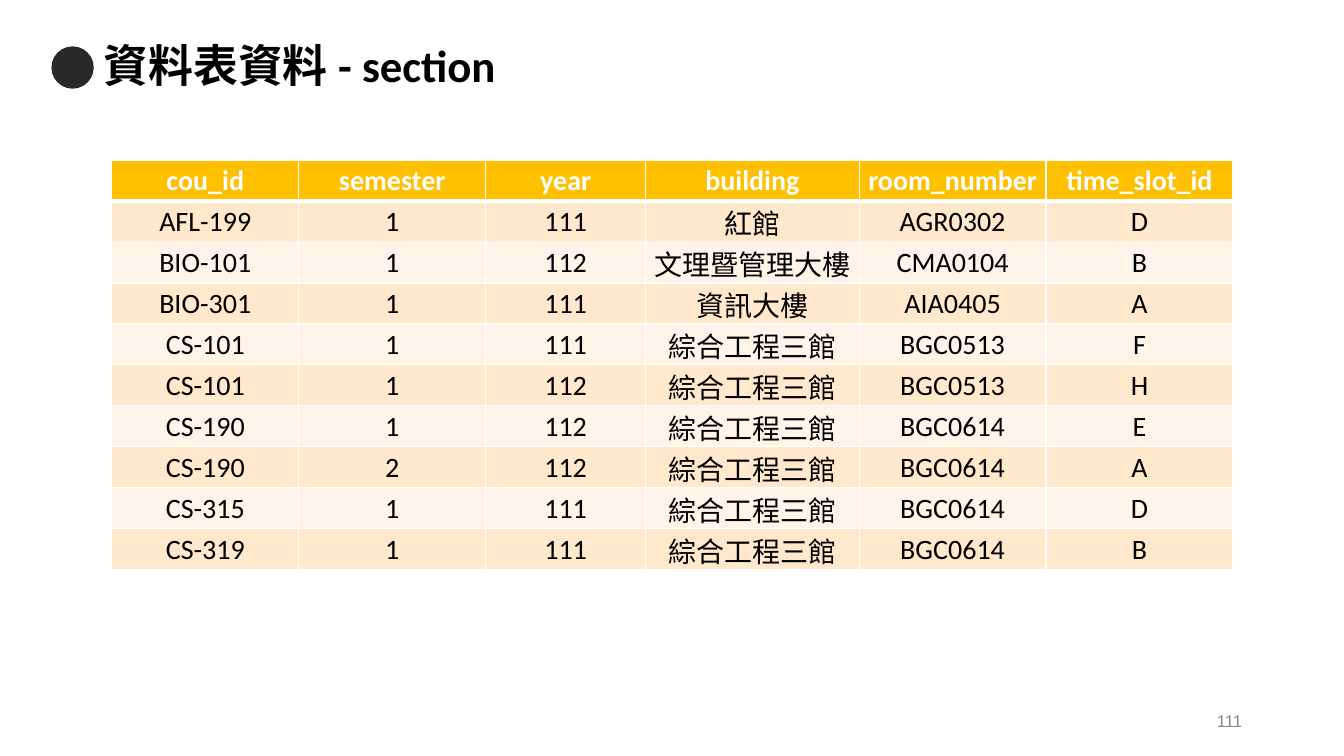
from dataclasses import dataclass

from pptx import Presentation
from pptx.dml.color import RGBColor as RGB
from pptx.enum.shapes import MSO_SHAPE as SHAPE
from pptx.enum.text import MSO_ANCHOR as ANCHOR, PP_ALIGN as ALIGN
from pptx.oxml import parse_xml
from pptx.oxml.ns import nsdecls
from pptx.util import Inches, Pt


@dataclass(frozen=True)
class Theme:
    font: str = "Calibri"
    number_font: str = "Arial"
    title_size: int = 32
    table_size: int = 20
    number_size: int = 12
    ink: str = "000000"
    dot: str = "292929"
    muted: str = "888888"
    white: str = "FFFFFF"
    header: str = "FFC000"
    bands: tuple = ("FFE8CC", "FFF4E7")


THEME = Theme()
COLUMN_UNITS = (7, 7, 6, 8, 7, 7)
SECTIONS = [
    ("cou_id", "semester", "year", "building", "room_number", "time_slot_id"),
    ("AFL-199", "1", "111", "紅館", "AGR0302", "D"),
    ("BIO-101", "1", "112", "文理暨管理大樓", "CMA0104", "B"),
    ("BIO-301", "1", "111", "資訊大樓", "AIA0405", "A"),
    ("CS-101", "1", "111", "綜合工程三館", "BGC0513", "F"),
    ("CS-101", "1", "112", "綜合工程三館", "BGC0513", "H"),
    ("CS-190", "1", "112", "綜合工程三館", "BGC0614", "E"),
    ("CS-190", "2", "112", "綜合工程三館", "BGC0614", "A"),
    ("CS-315", "1", "111", "綜合工程三館", "BGC0614", "D"),
    ("CS-319", "1", "111", "綜合工程三館", "BGC0614", "B"),
]


def write(tf, text, *, size, color, font=THEME.font, bold=False,
          align=ALIGN.LEFT, spacing=None):
    p = tf.paragraphs[0]
    p.alignment = align
    p.line_spacing = spacing
    r = p.add_run()
    r.text = text
    r.font.name, r.font.size, r.font.bold = font, Pt(size), bold
    r.font.color.rgb = RGB.from_string(color)


def add_text(s, box, text, **fmt):
    tf = s.shapes.add_textbox(*map(Inches, box)).text_frame
    tf.word_wrap = True
    tf.vertical_anchor = ANCHOR.MIDDLE
    write(tf, text, **fmt)


def add_title(s, box, text):
    x, y, w, h = box
    d = 0.42
    # Round marker at the left of the title
    sp = s.shapes.add_shape(SHAPE.OVAL, *map(Inches, (x, y + (h - d) / 2, d, d)))
    sp.shadow.inherit = False
    sp.fill.solid()
    sp.fill.fore_color.rgb = RGB.from_string(THEME.dot)
    sp.line.fill.background()
    # Title text
    add_text(s, (x + d, y, w - d, h), text, size=THEME.title_size,
             color=THEME.ink, bold=True, spacing=0.9)


def set_borders(cell, bottom):
    widths = {"lnL": 1, "lnR": 1, "lnT": 1, "lnB": bottom}
    tcPr = cell._tc.get_or_add_tcPr()
    for i, (side, width) in enumerate(widths.items()):
        tcPr.insert(i, parse_xml(
            f'<a:{side} {nsdecls("a")} w="{Pt(width)}"><a:solidFill>'
            f'<a:srgbClr val="{THEME.white}"/></a:solidFill></a:{side}>'))


def add_table(s, box, rows):
    x, y, w, h = map(Inches, box)
    table = s.shapes.add_table(len(rows), len(rows[0]), x, y, w, h).table
    for col, units in zip(table.columns, COLUMN_UNITS):
        col.width = int(w * units / sum(COLUMN_UNITS))
    for i, row in enumerate(rows):
        table.rows[i].height = int(h / len(rows))
        head = i == 0
        for j, text in enumerate(row):
            cell = table.cell(i, j)
            cell.margin_left = cell.margin_right = cell.margin_top = Inches(0.01)
            cell.margin_bottom = 0
            cell.vertical_anchor = ANCHOR.MIDDLE
            cell.fill.solid()
            cell.fill.fore_color.rgb = RGB.from_string(
                THEME.header if head else THEME.bands[(i - 1) % 2])
            set_borders(cell, bottom=3 if head else 1)
            write(cell.text_frame, text, size=THEME.table_size, bold=head,
                  color=THEME.white if head else THEME.ink, align=ALIGN.CENTER)


def add_page_number(s, box, number):
    add_text(s, box, number, size=THEME.number_size, color=THEME.muted,
             font=THEME.number_font, align=ALIGN.RIGHT)


def main():
    prs = Presentation()
    prs.slide_width, prs.slide_height = Inches(13.33), Inches(7.5)
    s = prs.slides.add_slide(prs.slide_layouts[6])
    add_title(s, (0.51, 0.35, 11.91, 0.64), "資料表資料 - section")
    add_page_number(s, (9.42, 6.95, 3, 0.4), "111")
    add_table(s, (1.11, 1.59, 11.12, 4.06), SECTIONS)
    prs.save("out.pptx")


if __name__ == "__main__":
    main()
